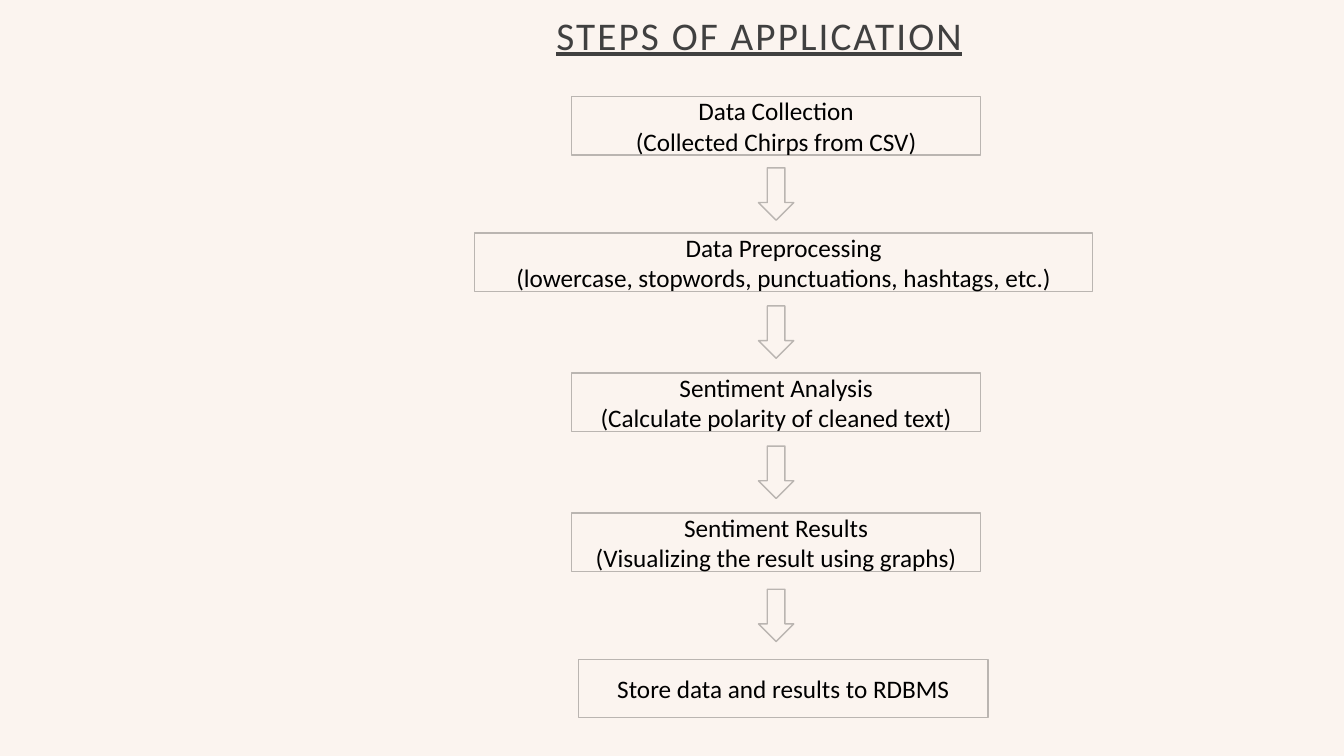
"""Build the slide that shows the steps of the application as a flow chart."""
import dataclasses

import pptx
import pptx.dml.color
import pptx.enum.shapes
import pptx.enum.text
import pptx.util

RGBColor = pptx.dml.color.RGBColor
Shape = pptx.enum.shapes.MSO_SHAPE
Align = pptx.enum.text.PP_ALIGN

CREAM = RGBColor(0xFB, 0xF4, 0xEF)
STONE = RGBColor(0xBA, 0xB5, 0xB1)
CHARCOAL = RGBColor(0x40, 0x40, 0x40)
BLACK = RGBColor(0x00, 0x00, 0x00)

SLIDE_WIDTH = pptx.util.Inches(13.33)
SLIDE_HEIGHT = pptx.util.Inches(7.5)
COLUMN = SLIDE_WIDTH / 100
ROW = SLIDE_HEIGHT / 100

FLOW_CENTRE = 57.75
STEP_WIDTH = 30.45
STEP_ROWS = 7.73
ARROW_COLUMNS = 3.9
ARROW_ROWS = 4.67


@dataclasses.dataclass(frozen=True)
class Step:
    """A step of the flow, placed in columns and rows of the grid."""
    lines: tuple[str, ...]
    top: float
    centre: float = FLOW_CENTRE
    width: float = STEP_WIDTH


STEPS = (
    Step(("Data Collection", "(Collected Chirps from CSV)"), 12.8),
    Step(("Data Preprocessing", "(lowercase, stopwords, punctuations, hashtags, etc.)"),
         30.8, centre=58.31, width=45.98),
    Step(("Sentiment Analysis", "(Calculate polarity of cleaned text)"), 49.33),
    Step(("Sentiment Results", "(Visualizing the result using graphs)"), 67.87),
    Step(("Store data and results to RDBMS",), 87.2, centre=58.28),
)


def write_lines(box, lines: tuple[str, ...], *, size: float, color: RGBColor,
                align: Align, underline: bool = False, tracking: float = 0,
                line_spacing: float = 1.0) -> None:
    """Write one paragraph per line, all in the same format."""
    frame = box.text_frame
    frame.word_wrap = True
    frame.auto_size = pptx.enum.text.MSO_AUTO_SIZE.NONE
    frame.vertical_anchor = pptx.enum.text.MSO_ANCHOR.MIDDLE
    for index, line in enumerate(lines):
        para = frame.add_paragraph() if index else frame.paragraphs[0]
        para.alignment = align
        para.line_spacing = line_spacing
        span = para.add_run()
        span.text = line
        span.font.name = "Calibri"
        span.font.size = pptx.util.Pt(size)
        span.font.color.rgb = color
        if underline:
            span.font.underline = True
        if tracking:
            span.font._element.set("spc", str(round(tracking * 100)))


def add_outlined(page, kind: Shape, centre: float, top: float, width: float, height: float):
    """Add a preset shape centred on a column, with the slide's fill and outline."""
    box = page.shapes.add_shape(kind, round((centre - width / 2) * COLUMN), round(top * ROW),
                                round(width * COLUMN), round(height * ROW))
    box.shadow.inherit = False
    box.fill.solid()
    box.fill.fore_color.rgb = CREAM
    box.line.color.rgb = STONE
    box.line.width = pptx.util.Pt(1)
    return box


def add_title(page, text: str) -> None:
    """Place and format the title placeholder."""
    title = page.shapes.title
    title.left, title.top = round(40.65 * COLUMN), 0
    title.width, title.height = round(36.75 * COLUMN), round(9.87 * ROW)
    write_lines(title, (text,), size=28, color=CHARCOAL, align=Align.LEFT,
                underline=True, tracking=1.5, line_spacing=0.9)


def add_step(page, step: Step) -> None:
    """Draw the box of one step."""
    box = add_outlined(page, Shape.RECTANGLE, step.centre, step.top, step.width, STEP_ROWS)
    write_lines(box, step.lines, size=18, color=BLACK, align=Align.CENTER)


def add_arrow(page, upper: Step, lower: Step) -> None:
    """Draw a downward arrow midway between two steps."""
    middle = (upper.top + STEP_ROWS + lower.top) / 2
    arrow = add_outlined(page, Shape.LEFT_ARROW, FLOW_CENTRE, middle - ARROW_ROWS / 2,
                         ARROW_COLUMNS, ARROW_ROWS)
    arrow.rotation = 270


def main() -> None:
    """Build and save the deck."""
    deck = pptx.Presentation()
    deck.slide_width, deck.slide_height = SLIDE_WIDTH, SLIDE_HEIGHT
    page = deck.slides.add_slide(deck.slide_layouts.get_by_name("Title Only"))
    page.background.fill.solid()
    page.background.fill.fore_color.rgb = CREAM
    add_title(page, "STEPS OF APPLICATION")
    add_step(page, STEPS[0])
    for upper, lower in zip(STEPS, STEPS[1:]):
        add_arrow(page, upper, lower)
        add_step(page, lower)
    deck.save("out.pptx")


if __name__ == "__main__":
    main()
